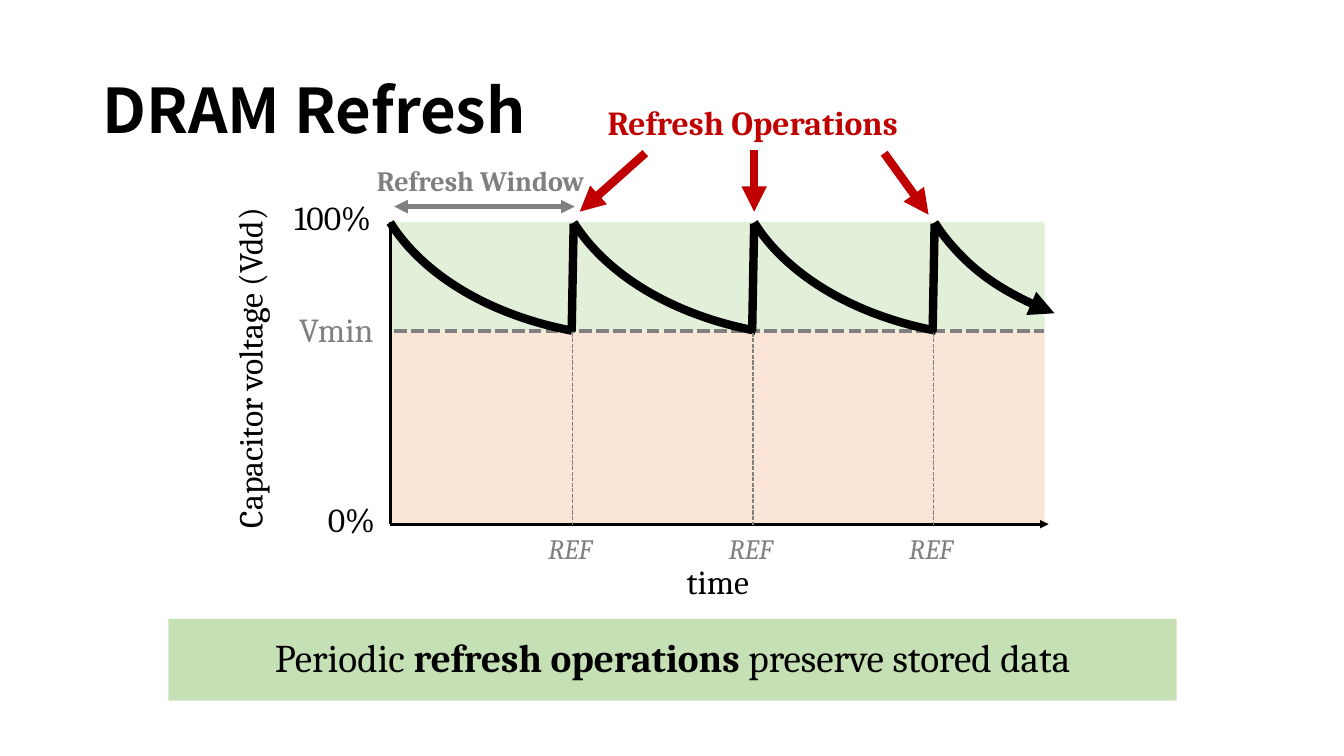
"""Build the DRAM Refresh slide: capacitor voltage over time with periodic refreshes."""
from pptx import Presentation
from pptx.dml.color import RGBColor
from pptx.enum.dml import MSO_LINE
from pptx.enum.shapes import MSO_CONNECTOR, MSO_SHAPE
from pptx.enum.text import MSO_ANCHOR, PP_ALIGN
from pptx.oxml.ns import qn
from pptx.util import Inches, Pt
from lxml import etree

STRAIGHT = MSO_CONNECTOR.STRAIGHT
RECT, ARC = MSO_SHAPE.RECTANGLE, MSO_SHAPE.ARC
DASH = MSO_LINE.SQUARE_DOT
TOP, MIDDLE = MSO_ANCHOR.TOP, MSO_ANCHOR.MIDDLE
LEFT, CENTER = PP_ALIGN.LEFT, PP_ALIGN.CENTER

BLACK = RGBColor(0x00, 0x00, 0x00)
GRAY = RGBColor(0x80, 0x80, 0x80)
RED = RGBColor(0xC0, 0x00, 0x00)
SAFE_GREEN = RGBColor(0xE2, 0xF0, 0xD9)
LOSS_ORANGE = RGBColor(0xFB, 0xE5, 0xD6)
BANNER_GREEN = RGBColor(0xC5, 0xE0, 0xB4)
BODY_FONT, TITLE_FONT = "Cambria", "Noto Sans CJK SC"

TITLE = "DRAM Refresh"
BANNER = [("Periodic ", False), ("refresh operations ", True), ("preserve stored data", False)]
AXIS_LABELS = [
    ("100%", (2.77, 1.9, 1.06, 0.5), BLACK),
    ("0%", (3.14, 4.9, 0.69, 0.5), BLACK),
    ("Vmin", (2.86, 3.02, 0.95, 0.5), GRAY),
]
OPERATION_ARROWS = [
    ((6.4, 1.52), (5.75, 2.1)),
    ((7.48, 1.49), (7.48, 2.1)),
    ((8.77, 1.52), (9.21, 2.13)),
]

AXIS_X, AXIS_Y, PLOT_W = 3.87, 5.2, 6.49
FULL_Y, VMIN_Y = 2.2, 3.29
FIRST_REFRESH, PERIOD, REFRESH_COUNT = 5.69, 1.79, 3
DECAY_START, DECAY_END, LAST_DECAY_START = 175.48, 206.39, 185.89

prs = Presentation()
prs.slide_width, prs.slide_height = Inches(13.33), Inches(7.5)
s = prs.slides.add_slide(prs.slide_layouts[6])


def inches(values):
    return [Inches(v) for v in values]


def style_line(shape, color, width, dash=None, ends=()):
    shape.line.color.rgb = color
    shape.line.width = Pt(width)
    if dash:
        shape.line.dash_style = dash
    ln = shape._element.spPr.find(qn("a:ln"))
    for end in ends:
        etree.SubElement(ln, qn(f"a:{end}End")).set("type", "triangle")


def add_line(start, stop, color, width, dash=None, ends=()):
    c = s.shapes.add_connector(STRAIGHT, *inches(start + stop))
    style_line(c, color, width, dash, ends)
    etree.SubElement(c._element.spPr, qn("a:effectLst"))


def add_rect(box, color):
    sp = s.shapes.add_shape(RECT, *inches(box))
    sp.shadow.inherit = False
    sp.fill.solid()
    sp.fill.fore_color.rgb = color
    sp.line.fill.background()
    return sp


def add_decay(start_x, first_angle, ends=()):
    sp = s.shapes.add_shape(ARC, *inches((start_x - 0.22, -0.4, 5.54, 3.75)))
    sp.shadow.inherit = False
    sp.fill.background()
    sp.adjustments[0], sp.adjustments[1] = first_angle, DECAY_END
    xfrm = sp._element.spPr.find(qn("a:xfrm"))
    xfrm.set("flipH", "1")
    xfrm.set("flipV", "1")
    style_line(sp, BLACK, 6, ends=ends)


def add_text(text, box, color, size=24, font=BODY_FONT, bold=False, italic=False,
             align=CENTER, anchor=MIDDLE, wrap=True):
    tb = s.shapes.add_textbox(*inches(box))
    tf = tb.text_frame
    tf.word_wrap = wrap
    tf.vertical_anchor = anchor
    p = tf.paragraphs[0]
    p.text = text
    p.alignment = align
    p.font.name, p.font.size = font, Pt(size)
    p.font.bold, p.font.italic = bold, italic
    p.font.color.rgb = color
    return tb


add_rect((AXIS_X, FULL_Y, PLOT_W, VMIN_Y - FULL_Y), SAFE_GREEN)
add_rect((AXIS_X, VMIN_Y, PLOT_W, AXIS_Y - VMIN_Y), LOSS_ORANGE)
add_line((3.91, 3.28), (10.35, 3.28), GRAY, 3, DASH)

title = add_text(TITLE, (0.92, 0.4, 11.5, 1.45), BLACK, 44, TITLE_FONT, bold=True, align=LEFT)
title.text_frame.paragraphs[0].line_spacing = 0.9

banner = add_rect((1.67, 6.14, 10, 0.81), BANNER_GREEN)
banner.text_frame.vertical_anchor = MIDDLE
p = banner.text_frame.paragraphs[0]
p.alignment = CENTER
p.line_spacing = 0.9
p.font.name, p.font.size = BODY_FONT, Pt(28)
p.font.color.rgb = BLACK
for text, bold in BANNER:
    r = p.add_run()
    r.text = text
    r.font.bold = bold

add_line((AXIS_X, AXIS_Y), (AXIS_X, FULL_Y), BLACK, 2)
add_line((AXIS_X, AXIS_Y), (10.4, AXIS_Y), BLACK, 2, ends=("tail",))
add_text("Capacitor voltage (Vdd)", (-0.27, 3.42, 5.48, 0.46), BLACK).rotation = 270
add_text("time", (5.68, 5.53, 2.88, 0.46), BLACK)
for text, box, color in AXIS_LABELS:
    add_text(text, box, color, anchor=TOP, wrap=False)

add_line((3.91, 2.05), (5.7, 2.05), GRAY, 3.25, ends=("head", "tail"))
add_text("Refresh Window", (3.64, 1.57, 2.33, 0.44), GRAY, 20, bold=True,
         align=LEFT, anchor=TOP, wrap=False)

add_decay(AXIS_X, DECAY_START)
for i in range(REFRESH_COUNT):
    x = FIRST_REFRESH + i * PERIOD
    last = i == REFRESH_COUNT - 1
    add_decay(x, LAST_DECAY_START if last else DECAY_START, ("head",) if last else ())
    add_line((x, 2.22), (x - 0.02, VMIN_Y), BLACK, 6)
    add_line((x - 0.01, 3.3), (x - 0.01, 5.21), GRAY, 1, DASH)
    add_text("REF", (x - 0.46, 5.23, 0.85, 0.41), GRAY, 20, italic=True)

add_text("Refresh Operations", (5.58, 0.95, 3.77, 0.53), RED, bold=True)
for start, stop in OPERATION_ARROWS:
    add_line(start, stop, RED, 6, ends=("tail",))

prs.save("out.pptx")
